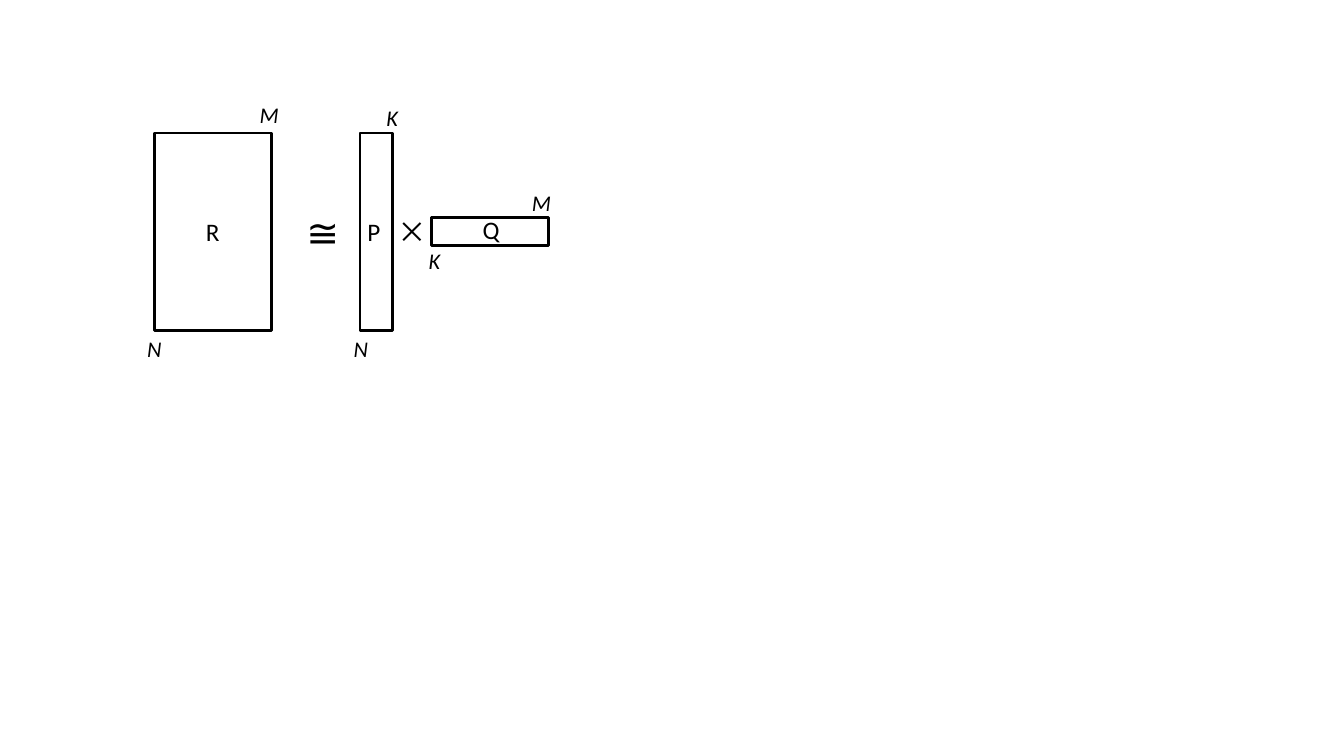
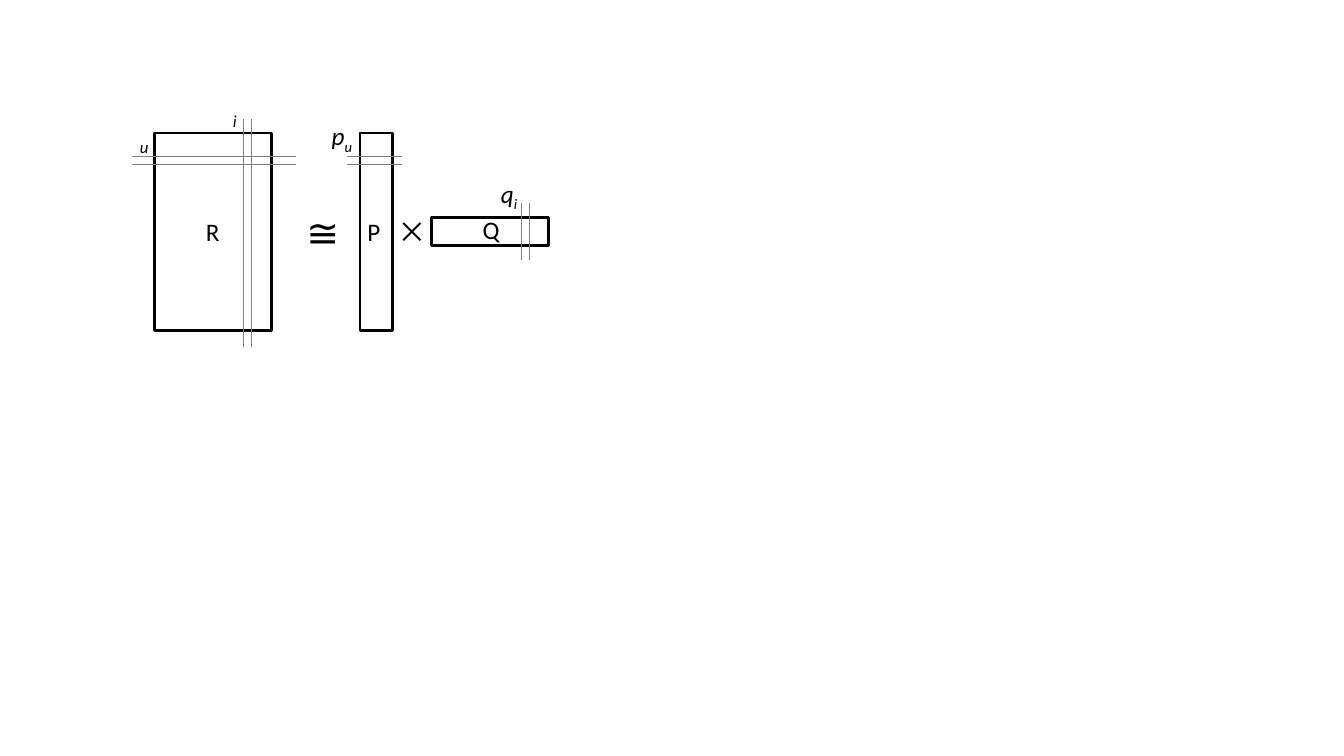
from collections import namedtuple

from lxml.etree import SubElement
from pptx import Presentation
from pptx.dml.color import RGBColor
from pptx.enum.shapes import MSO_CONNECTOR, MSO_SHAPE
from pptx.enum.text import MSO_AUTO_SIZE, PP_ALIGN
from pptx.oxml.ns import qn
from pptx.util import Inches, Pt

Box = namedtuple("Box", "left top width height")

BLACK = "000000"
WHITE = "FFFFFF"
GRAY = "808080"
FONT = "Calibri"
BAND = 0.08
ROW_OFFSET = 0.23

RATINGS = Box(1.53, 1.32, 1.16, 1.96)
USERS = Box(3.57, RATINGS.top, 0.32, RATINGS.height)
ITEMS = Box(4.28, 2.16, RATINGS.width, 0.28)


def color(hex_code):
    return RGBColor.from_string(hex_code)


def right(box):
    return box.left + box.width


def bottom(box):
    return box.top + box.height


def middle(box):
    return box.top + box.height / 2


def add_label(slide, text, center_x, center_y, size=18, italic=False, subscript=""):
    width, height = 0.4, size * 1.22 / 72 + 0.1
    shape = slide.shapes.add_textbox(
        Inches(center_x - width / 2), Inches(center_y - height / 2), Inches(width), Inches(height)
    )
    frame = shape.text_frame
    frame.word_wrap = False
    frame.auto_size = MSO_AUTO_SIZE.SHAPE_TO_FIT_TEXT
    paragraph = frame.paragraphs[0]
    paragraph.alignment = PP_ALIGN.CENTER
    for content, baseline in ((text, None), (subscript, "-25000")):
        if not content:
            continue
        run = paragraph.add_run()
        run.text = content
        run.font.name = FONT
        run.font.size = Pt(size)
        run.font.italic = italic
        run.font.color.rgb = color(BLACK)
        if baseline:
            run._r.get_or_add_rPr().set("baseline", baseline)


def add_matrix(slide, box):
    shape = slide.shapes.add_shape(MSO_SHAPE.RECTANGLE, *(Inches(value) for value in box))
    shape.shadow.inherit = False
    shape.fill.solid()
    shape.fill.fore_color.rgb = color(WHITE)
    shape.line.color.rgb = color(BLACK)
    shape.line.width = Pt(2)


def add_line(shapes, *ends):
    line = shapes.add_connector(MSO_CONNECTOR.STRAIGHT, *(Inches(value) for value in ends))
    line.line.color.rgb = color(GRAY)
    line.line.width = Pt(0.5)
    SubElement(line._element.spPr, qn("a:effectLst"))


def add_row_band(slide, box, before, after):
    group = slide.shapes.add_group_shape()
    for step in range(2):
        y = box.top + ROW_OFFSET + step * BAND
        add_line(group.shapes, box.left - before, y, right(box) + after, y)


def add_column_band(slide, box, offset, before, after):
    group = slide.shapes.add_group_shape()
    for step in range(2):
        x = box.left + offset + step * BAND
        add_line(group.shapes, x, box.top - before, x, bottom(box) + after)


def add_factorization(slide):
    for box in (RATINGS, USERS, ITEMS):
        add_matrix(slide, box)
    center_y = middle(RATINGS)
    add_label(slide, "≅", (right(RATINGS) + USERS.left) / 2 + 0.01, center_y, size=28)
    add_label(slide, "⨉", (right(USERS) + ITEMS.left) / 2, center_y)
    for name, box, shift_x, shift_y in (
        ("R", RATINGS, 0, 0), ("P", USERS, -0.02, 0), ("Q", ITEMS, 0.01, -0.02)
    ):
        add_label(slide, name, box.left + box.width / 2 + shift_x, middle(box) + shift_y)


def add_dimensions(slide, box, rows, columns, row_shift, column_shift, row_gap, column_gap):
    add_label(slide, rows, box.left + row_shift, bottom(box) + row_gap, size=16, italic=True)
    add_label(slide, columns, right(box) + column_shift, box.top - column_gap, size=16, italic=True)


def add_index(slide, box, text, shift_x, shift_y, **style):
    add_label(slide, text, box.left + shift_x, box.top + shift_y, italic=True, **style)


def build_dimensions_slide(slide):
    add_factorization(slide)
    add_dimensions(slide, RATINGS, "N", "M", 0, -0.02, 0.18, 0.18)
    add_dimensions(slide, USERS, "N", "K", 0.01, 0, 0.18, 0.15)
    add_dimensions(slide, ITEMS, "K", "M", 0.03, -0.07, 0.15, 0.15)


def build_vectors_slide(slide):
    add_factorization(slide)
    add_row_band(slide, RATINGS, 0.22, 0.25)
    add_column_band(slide, RATINGS, 0.88, 0.14, 0.16)
    add_row_band(slide, USERS, 0.13, 0.1)
    add_column_band(slide, ITEMS, 0.89, 0.15, 0.14)
    add_index(slide, USERS, "p", -0.18, 0.03, subscript="u")
    add_index(slide, RATINGS, "u", -0.1, 0.14, size=12)
    add_index(slide, RATINGS, "i", 0.8, -0.12, size=12)
    add_index(slide, ITEMS, "q", 0.77, -0.24, subscript="i")


def main():
    presentation = Presentation()
    presentation.slide_width = Inches(13.33)
    presentation.slide_height = Inches(7.5)
    for build in (build_dimensions_slide, build_vectors_slide):
        build(presentation.slides.add_slide(presentation.slide_layouts[6]))
    presentation.save("out.pptx")


if __name__ == "__main__":
    main()
